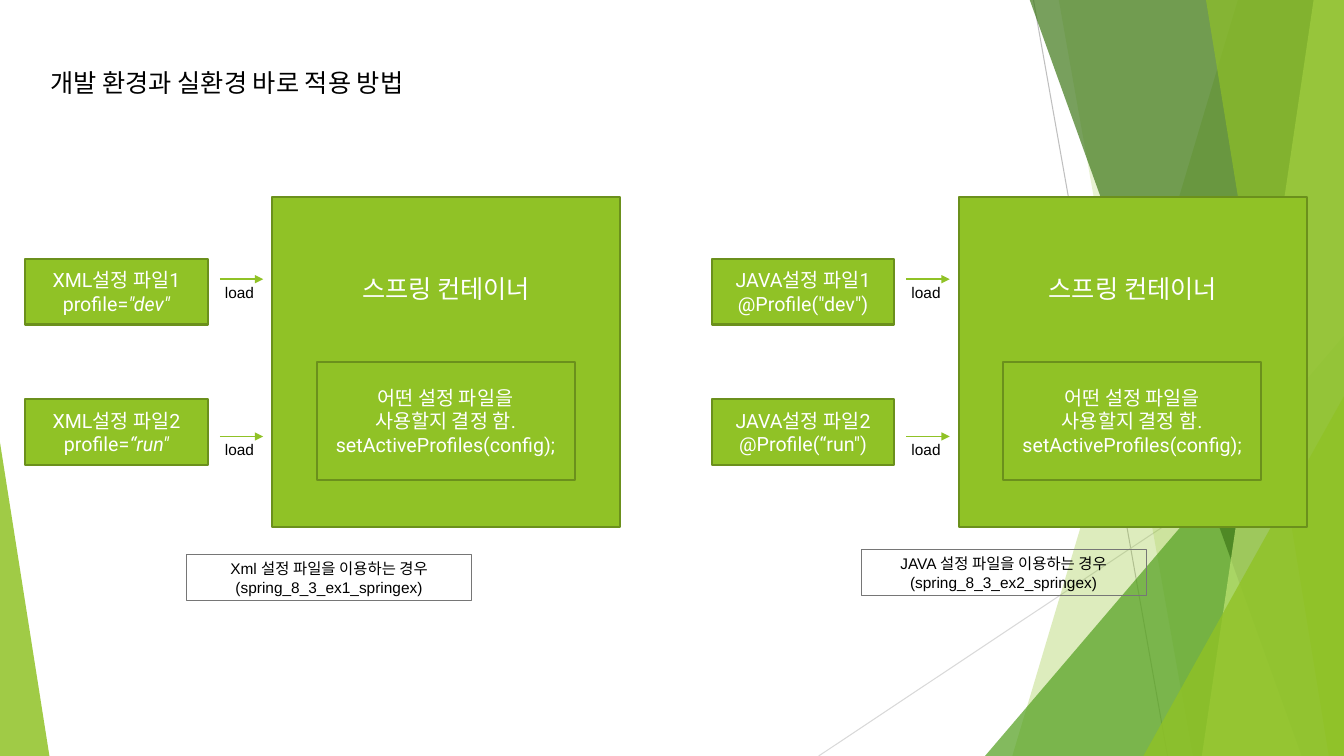
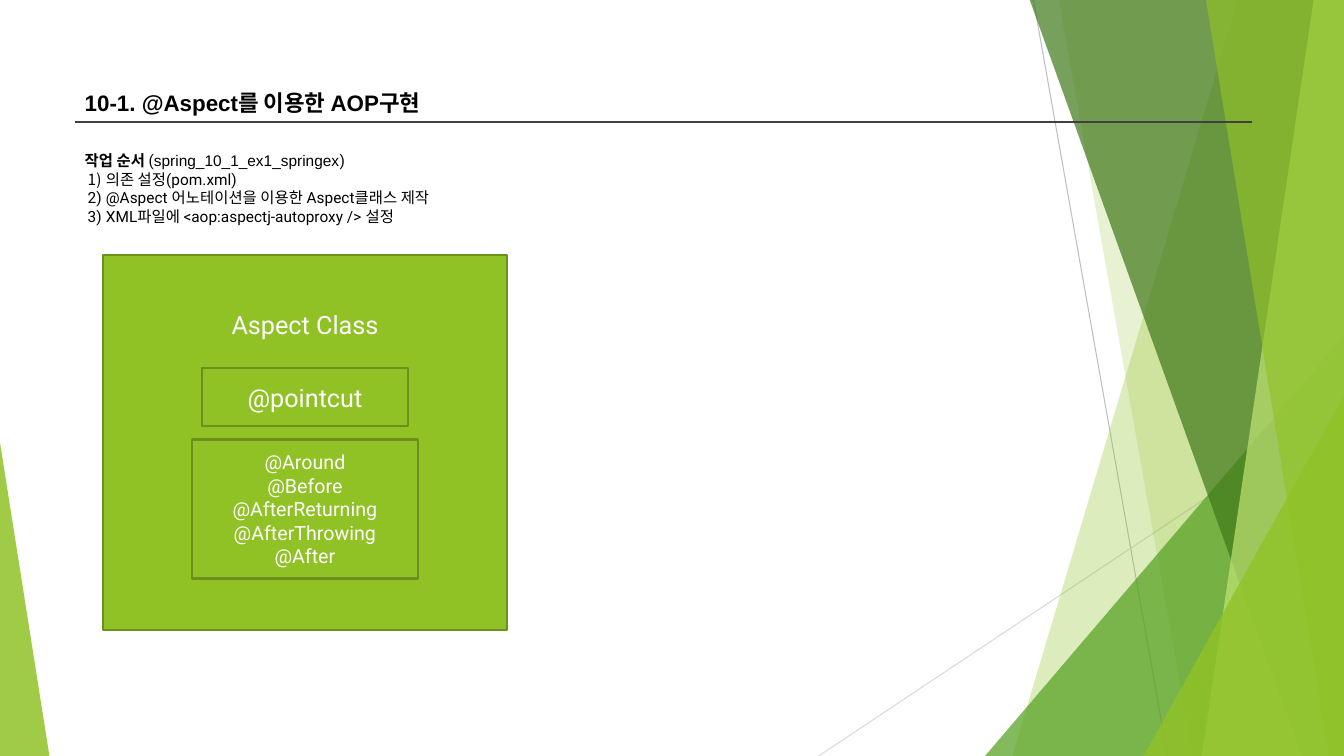
from lxml.etree import SubElement
from pptx import Presentation
from pptx.dml.color import RGBColor
from pptx.enum.shapes import MSO_CONNECTOR, MSO_SHAPE
from pptx.enum.text import MSO_ANCHOR, MSO_AUTO_SIZE, PP_ALIGN
from pptx.oxml.ns import qn
from pptx.util import Inches, Pt

RECT, TRI = MSO_SHAPE.RECTANGLE, MSO_SHAPE.ISOSCELES_TRIANGLE
STRAIGHT = MSO_CONNECTOR.STRAIGHT
TOP, MIDDLE = MSO_ANCHOR.TOP, MSO_ANCHOR.MIDDLE
LEFT, CENTER = PP_ALIGN.LEFT, PP_ALIGN.CENTER
NO_FIT = MSO_AUTO_SIZE.NONE

HEX = {
    "lime": "90C226", "edge": "6B901C", "leaf": "54A021", "moss": "3F7819",
    "pale": "C0E474", "white": "FFFFFF", "black": "000000", "rule": "404040",
    "frame": "767676", "gray": "BFBFBF", "mist": "D9D9D9",
}
WIDE, HIGH = 13.33, 7.5

# Backdrop: thin lines, then bands (corner points) and triangles (box, apex)
RAYS = [((10.25, 0), (11.58, HIGH), "gray"), ((WIDE, 4.03), (8.12, HIGH), "mist")]
FACETS = [
    ("band", (12.28, 10.04), "lime", 30),
    ("band", (10.5, 11.83), "lime", 20),
    ("tri", (9.77, 3.33, 3.56, 4.17, 1), "leaf", 72),
    ("band", (10.21, 12.91), "moss", 70),
    ("band", (13.03, 11.92), "pale", 70),
    ("band", (11.96, 13.18), "lime", 65),
    ("tri", (11.34, 3.93, 1.99, 3.57, 1), "lime", 80),
    ("tri", (0, 4.39, 0.49, 3.11, 0), "lime", 85),
]

# A line of text is a list of runs; a run is (text, style)
PLAIN, SLANT = {}, {"italic": True}
FLOWS = [
    {
        "files": [
            [[("XML설정 파일1", PLAIN)], [("profile=", PLAIN), ("\"dev\"", SLANT)]],
            [[("XML설정 파일2", PLAIN)], [("profile=", PLAIN), ("“run\"", SLANT)]],
        ],
        "note": ["Xml 설정 파일을 이용하는 경우", "(spring_8_3_ex1_springex)"],
        "spot": (1.85, 5.5),
    },
    {
        "files": [
            [[("JAVA설정 파일1", PLAIN)], [("@Profile(\"dev\")", PLAIN)]],
            [[("JAVA설정 파일2", PLAIN)], [("@Profile(“run\")", PLAIN)]],
        ],
        "note": ["JAVA 설정 파일을 이용하는 경우", "(spring_8_3_ex2_springex)"],
        "spot": (8.54, 5.45),
    },
]
CHOICE = ["어떤 설정 파일을", "사용할지 결정 함.", "setActiveProfiles(config);"]
FLOW_STEP = 6.81
FILE_TOPS, ARROW_TOPS = (2.57, 3.96), (2.77, 4.33)

STEPS_HEAD = [
    ("작업 순서 ", {"bold": True}), ("(", PLAIN),
    ("spring_10_1_ex1_springex", {"name": "Arial"}), (")", PLAIN),
]
STEPS = [
    "의존 설정(pom.xml)",
    "@Aspect 어노테이션을 이용한 Aspect클래스 제작",
    "XML파일에 <aop:aspectj-autoproxy /> 설정",
]
ADVICE = ["@Around", "@Before", "@AfterReturning", "@AfterThrowing", "@After"]


def color(key):
    return RGBColor.from_string(HEX[key])


def inch(*nums):
    return [Inches(n) for n in nums]


def plain(*lines):
    return [[(line, PLAIN)] for line in lines]


def write(frame, lines, size, ink="black", name="Roboto", align=LEFT, anchor=TOP):
    frame.word_wrap = True
    frame.auto_size = NO_FIT
    frame.vertical_anchor = anchor
    for i, runs in enumerate(lines):
        para = frame.add_paragraph() if i else frame.paragraphs[0]
        para.alignment = align
        para.space_before = Pt(0)
        for text, style in runs:
            run = para.add_run()
            run.text = text
            font = run.font
            font.size, font.name = Pt(size), style.get("name", name)
            font.bold = style.get("bold", False)
            font.italic = style.get("italic", False)
            font.color.rgb = color(ink)


def place(shape, box):
    shape.left, shape.top, shape.width, shape.height = inch(*box)


def add_title(slide, text, box, size, name, bold=False):
    title = slide.shapes.title
    place(title, box)
    write(title.text_frame, [[(text, {"bold": bold})]], size, name=name)


def add_line(shapes, start, end, key, width, head=False):
    line = shapes.add_connector(STRAIGHT, *inch(*start, *end))
    line.line.color.rgb = color(key)
    line.line.width = Pt(width)
    props = line.element.spPr
    if head:
        SubElement(props.find(qn("a:ln")), qn("a:tailEnd"), type="triangle")
    SubElement(props, qn("a:effectLst"))


def add_box(slide, box, lines, size, inset=None):
    """Green box; an inset hangs the text that far below its top edge."""
    shape = slide.shapes.add_shape(RECT, *inch(*box))
    shape.shadow.inherit = False
    shape.fill.solid()
    shape.fill.fore_color.rgb = color("lime")
    shape.line.color.rgb = color("edge")
    shape.line.width = Pt(1.5)
    if inset:
        shape.text_frame.margin_top = Inches(inset)
    write(shape.text_frame, lines, size, "white", align=CENTER,
          anchor=TOP if inset else MIDDLE)


def add_label(slide, box, lines):
    label = slide.shapes.add_textbox(*inch(*box))
    write(label.text_frame, lines, 11, name="Arial", align=CENTER)
    return label


def add_facet(shapes, kind, data, key, alpha):
    if kind == "band":
        top, foot = data
        path = shapes.build_freeform(*inch(top, -0.01))
        path.add_line_segments(
            [inch(*p) for p in ((WIDE, -0.01), (WIDE, HIGH), (foot, HIGH))])
        shape = path.convert_to_shape()
    else:
        shape = shapes.add_shape(TRI, *inch(*data[:4]))
        shape.adjustments[0] = data[4]
    shape.shadow.inherit = False
    shape.line.fill.background()
    shape.fill.solid()
    shape.fill.fore_color.rgb = color(key)
    tint = shape.element.spPr.find(qn("a:solidFill"))[0]
    SubElement(tint, qn("a:alpha"), val=str(alpha * 1000))


def add_backdrop(prs, slide):
    """Draw the backdrop as a group, then move it to the slide master."""
    group = slide.shapes.add_group_shape()
    for start, end, key in RAYS:
        add_line(group.shapes, start, end, key, 0.75)
    for facet in FACETS:
        add_facet(group.shapes, *facet)
    for num, node in enumerate(group.element.iter(qn("p:cNvPr")), 100):
        node.set("id", str(num))
    prs.slide_master.element.cSld.spTree.insert(2, group.element)


def add_flow(slide, flow, dx):
    add_box(slide, (2.7 + dx, 1.95, 3.45, 3.28), plain("스프링 컨테이너"), 18, 0.76)
    add_box(slide, (3.14 + dx, 3.59, 2.56, 1.17), plain(*CHOICE), 14)
    for lines, top, mid in zip(flow["files"], FILE_TOPS, ARROW_TOPS):
        add_box(slide, (0.25 + dx, top, 1.81, 0.65), lines, 14)
        add_line(slide.shapes, (2.18 + dx, mid), (2.61 + dx, mid), "lime", 1, True)
        add_label(slide, (2.12 + dx, mid - 0.01, 0.51, 0.29), plain("load"))
    note = add_label(slide, (*flow["spot"], 2.83, 0.46), plain(*flow["note"]))
    note.line.color.rgb = color("frame")
    note.line.width = Pt(0.5)


def add_steps(slide):
    body = slide.placeholders[1]
    place(body, (0.74, 1.45, 11.68, 0.82))
    write(body.text_frame, [STEPS_HEAD] + plain(*STEPS), 11)
    for i, para in enumerate(body.text_frame.paragraphs):
        props = para._p.get_or_add_pPr()
        props.set("marL", str(Inches(0.21 if i else 0)))
        props.set("indent", str(Inches(-0.18 if i else 0)))
        if i:
            SubElement(props, qn("a:buFont"), typeface="+mj-lt")
            SubElement(props, qn("a:buAutoNum"), type="arabicParenR")
        else:
            SubElement(props, qn("a:buNone"))


def main():
    prs = Presentation()
    prs.slide_width, prs.slide_height = inch(WIDE, HIGH)

    slide = prs.slides.add_slide(prs.slide_layouts[5])
    add_backdrop(prs, slide)
    add_title(slide, "개발 환경과 실환경 바로 적용 방법",
              (0.4, 0.62, 5.23, 0.39), 18, "Roboto")
    for i, flow in enumerate(FLOWS):
        add_flow(slide, flow, i * FLOW_STEP)

    slide = prs.slides.add_slide(prs.slide_layouts[1])
    add_title(slide, "10-1. @Aspect를 이용한 AOP구현",
              (0.74, 0.83, 11.68, 0.37), 16, "Arial", True)
    add_line(slide.shapes, (0.74, 1.21), (12.42, 1.21), "rule", 1)
    add_steps(slide)
    add_box(slide, (1.02, 2.53, 4.01, 3.72), plain("Aspect Class"), 18, 0.54)
    add_box(slide, (2, 3.65, 2.05, 0.58), plain("@pointcut"), 18)
    add_box(slide, (1.9, 4.36, 2.25, 1.38), plain(*ADVICE), 14)

    prs.save("out.pptx")


if __name__ == "__main__":
    main()
